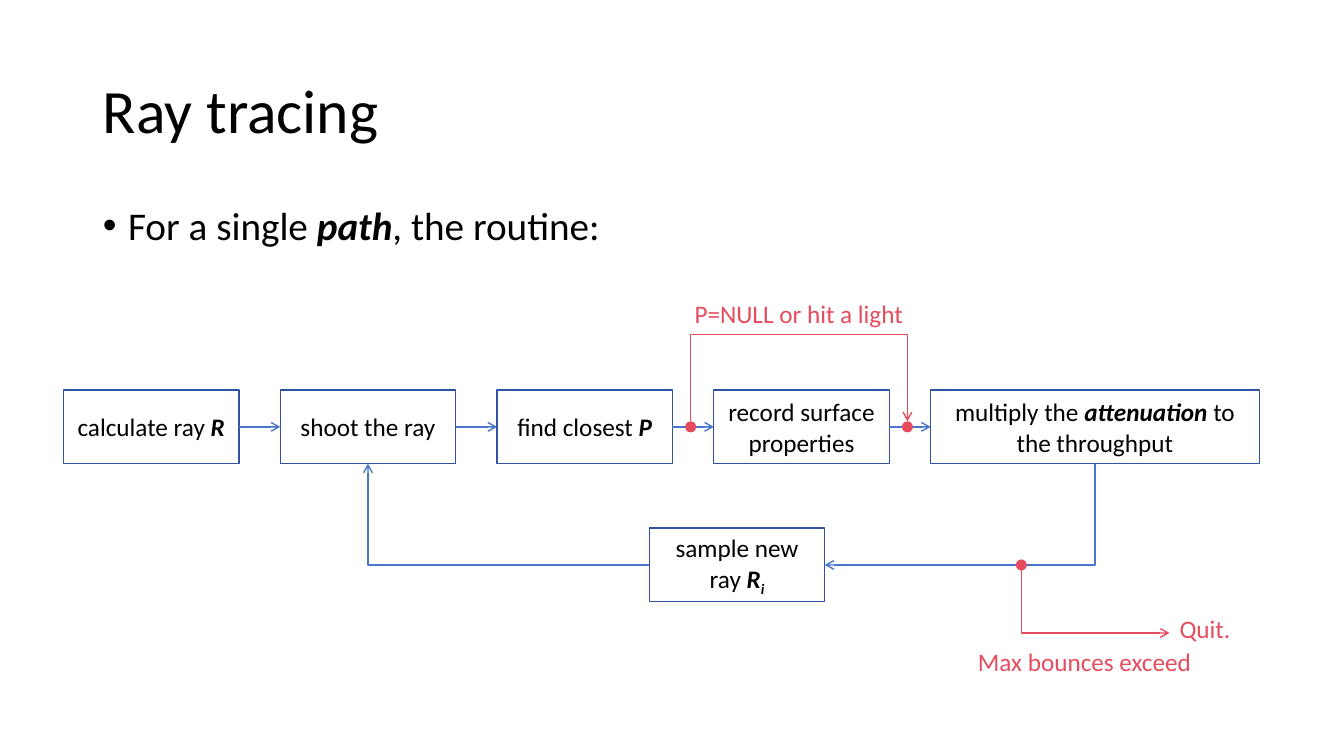
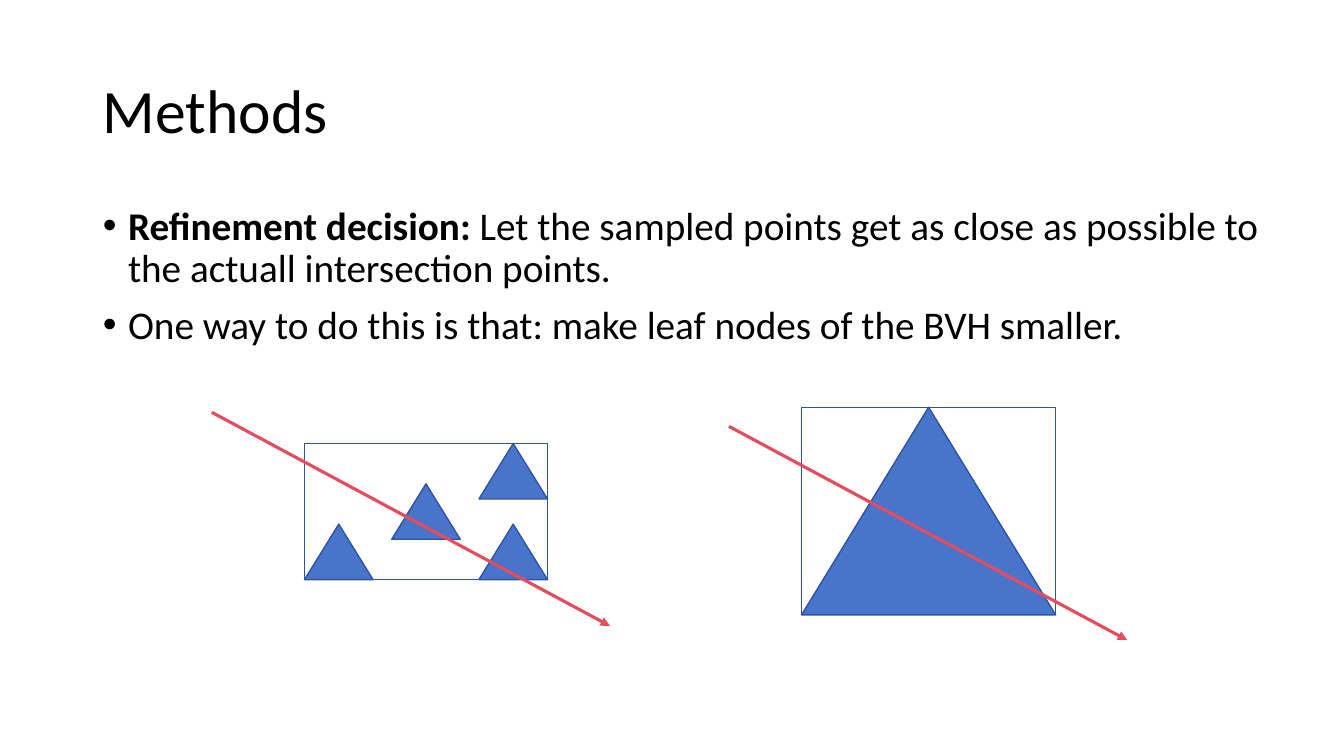
from lxml.etree import SubElement
from pptx import Presentation
from pptx.dml.color import RGBColor
from pptx.enum.shapes import MSO_CONNECTOR, MSO_SHAPE
from pptx.enum.text import MSO_ANCHOR, PP_ALIGN
from pptx.oxml.ns import qn
from pptx.util import Inches, Pt

BLACK, BLUE, NAVY, RED = "000000", "4874CB", "2E54A1", "E54C5E"
FONT = "Calibri"
TITLE_AREA = (0.92, 0.4, 11.5, 1.45)
BODY_AREA = (0.92, 2, 11.5, 4.76)
WIDE_BODY_AREA = (0.92, 2, 11.86, 4.76)
TOP, LEFT, BOTTOM, RIGHT = range(4)

ROUTINE = [[("For a single ", ""), ("path", "bi"), (", the routine:", "")]]
STEPS = [
    [("calculate ray ", ""), ("R", "bi")],
    [("shoot the ray", "")],
    [("find closest ", ""), ("P", "bi")],
    [("record surface properties", "")],
    [("multiply the ", ""), ("attenuation ", "bi"), ("to the throughput", "")],
]
RESAMPLE = [("sample new ray ", ""), ("R", "bi"), ("i", "bis")]
NOTES = [
    ("P=NULL or hit a light", (6.79, 2.91, 2.53, 0.4)),
    ("Max bounces exceed", (9.6, 6.36, 2.53, 0.4)),
    ("Quit.", (11.6, 6.04, 0.89, 0.4)),
]
STEP_LEFT, STEP_PITCH, STEP_TOP = 0.63, 2.15, 3.87
STEP_WIDTH, LAST_WIDTH, STEP_HEIGHT = 1.74, 3.26, 0.73
RESAMPLE_LEFT, RESAMPLE_TOP = 6.44, 5.24
SKIP_START, SKIP_TOP, DOT_SIZE = 6.85, 3.32, 0.11
QUIT_X, QUIT_Y, QUIT_END = 10.13, 6.28, 11.6

METHODS = [
    [("Refinement decision:", "b"),
     (" Let the sampled points get as close as possible to the actuall intersection points.", "")],
    [("One way to do this is that: make leaf nodes of the BVH smaller.", "")],
]
LEAF_BOX = (3.02, 4.4, 2.41, 1.35)
LEAF_SIZE = (0.68, 0.55)
LEAF_CELLS = [(0, 2), (2, 0), (2, 2), (1, 1)]
LARGE_BOX = (7.95, 4.04, 2.52, 2.06)
RAY_STARTS = [(2.1, 4.09), (7.23, 4.23)]
RAY_SPAN = (3.95, 2.12)


def color(value):
    return RGBColor.from_string(value)


def place(shape, area):
    shape.left, shape.top, shape.width, shape.height = map(Inches, area)


def write(frame, paragraphs, size=18, ink=BLACK, align=None, bullet=False, spacing=None, before=0):
    for index, spans in enumerate(paragraphs):
        para = frame.paragraphs[0] if index == 0 else frame.add_paragraph()
        if bullet:
            settings = para._p.get_or_add_pPr()
            settings.set("marL", str(Inches(0.25)))
            settings.set("indent", str(-Inches(0.25)))
            SubElement(settings, qn("a:buChar")).set("char", "•")
        para.alignment = align
        para.line_spacing = spacing
        para.space_before = Pt(before if index else 0)
        for text, style in spans:
            span = para.add_run()
            span.text = text
            font = span.font
            font.name, font.size = FONT, Pt(size)
            font.color.rgb = color(ink)
            font.bold, font.italic = "b" in style, "i" in style
            if "s" in style:
                font._element.set("baseline", "-25000")


def add_page(deck, title, body, area):
    page = deck.slides.add_slide(deck.slide_layouts[1])
    heading, content = page.placeholders
    place(heading, TITLE_AREA)
    heading.text_frame.vertical_anchor = MSO_ANCHOR.MIDDLE
    write(heading.text_frame, [[(title, "")]], size=44, align=PP_ALIGN.LEFT, spacing=0.9)
    place(content, area)
    write(content.text_frame, body, size=28, bullet=True, spacing=0.9, before=10)
    return page


def add_shape(page, kind, area, fill=None, line=NAVY):
    shape = page.shapes.add_shape(kind, *map(Inches, area))
    shape.shadow.inherit = False
    if fill:
        shape.fill.solid()
        shape.fill.fore_color.rgb = color(fill)
    else:
        shape.fill.background()
    if line:
        shape.line.color.rgb = color(line)
        shape.line.width = Pt(1)
    else:
        shape.line.fill.background()
    return shape


def add_step(page, spans, area):
    box = add_shape(page, MSO_SHAPE.RECTANGLE, area)
    box.text_frame.word_wrap = True
    box.text_frame.vertical_anchor = MSO_ANCHOR.MIDDLE
    write(box.text_frame, [spans], align=PP_ALIGN.CENTER)
    return box


def style_line(shape, ink, width, end, head):
    shape.line.color.rgb = color(ink)
    shape.line.width = Pt(width)
    SubElement(shape.line._get_or_add_ln(), qn("a:" + end)).set("type", head)


def add_arrow(page, start, stop, ink=BLUE, width=1, bent=False, end="tailEnd", head="arrow"):
    kind = MSO_CONNECTOR.ELBOW if bent else MSO_CONNECTOR.STRAIGHT
    arrow = page.shapes.add_connector(kind, *map(Inches, start + stop))
    if bent:
        arrow._element.spPr.find(qn("a:prstGeom")).set("prst", "bentConnector2")
    style_line(arrow, ink, width, end, head)
    SubElement(arrow._element.spPr, qn("a:effectLst"))
    return arrow


def join(page, first, first_side, second, second_side, **look):
    arrow = add_arrow(page, *(side_point(box, side) for box, side in
                              ((first, first_side), (second, second_side))), **look)
    arrow.begin_connect(first, first_side)
    arrow.end_connect(second, second_side)


def side_point(box, side):
    across, down = [(0.5, 0), (0, 0.5), (0.5, 1), (1, 0.5)][side]
    return ((box.left + across * box.width) / Inches(1),
            (box.top + down * box.height) / Inches(1))


def build_routine(deck):
    page = add_page(deck, "Ray tracing", ROUTINE, BODY_AREA)
    boxes = []
    for index, spans in enumerate(STEPS):
        width = LAST_WIDTH if index == len(STEPS) - 1 else STEP_WIDTH
        left = STEP_LEFT + index * STEP_PITCH
        boxes.append(add_step(page, spans, (left, STEP_TOP, width, STEP_HEIGHT)))
    resample = add_step(page, RESAMPLE, (RESAMPLE_LEFT, RESAMPLE_TOP, STEP_WIDTH, STEP_HEIGHT))
    for first, second in zip(boxes, boxes[1:]):
        join(page, first, RIGHT, second, LEFT)
    join(page, resample, LEFT, boxes[1], BOTTOM, bent=True)
    join(page, resample, RIGHT, boxes[-1], BOTTOM, bent=True, end="headEnd")

    row = STEP_TOP + STEP_HEIGHT / 2
    loop_row = RESAMPLE_TOP + STEP_HEIGHT / 2
    skip_end = SKIP_START + STEP_PITCH
    for x, y in ((SKIP_START, row), (skip_end, row), (QUIT_X, loop_row)):
        add_shape(page, MSO_SHAPE.OVAL,
                  (x - DOT_SIZE / 2, y - DOT_SIZE / 2, DOT_SIZE, DOT_SIZE), fill=RED, line=None)
    dot_top = row - DOT_SIZE / 2
    outline = page.shapes.build_freeform(Inches(SKIP_START), Inches(dot_top))
    corners = [(SKIP_START, SKIP_TOP), (skip_end, SKIP_TOP), (skip_end, dot_top)]
    outline.add_line_segments([(Inches(x), Inches(y)) for x, y in corners], close=False)
    skip = outline.convert_to_shape()
    skip.shadow.inherit = False
    skip.fill.background()
    style_line(skip, RED, 1, "tailEnd", "arrow")
    add_arrow(page, (QUIT_END, QUIT_Y), (QUIT_X, loop_row + DOT_SIZE / 2),
              ink=RED, bent=True, end="headEnd")
    for text, area in NOTES:
        note = page.shapes.add_textbox(*map(Inches, area))
        note.text_frame.word_wrap = True
        write(note.text_frame, [[(text, "")]], ink=RED)


def build_methods(deck):
    page = add_page(deck, "Methods", METHODS, WIDE_BODY_AREA)
    left, top, width, height = LEAF_BOX
    leaf_width, leaf_height = LEAF_SIZE
    add_shape(page, MSO_SHAPE.RECTANGLE, LEAF_BOX)
    for column, line in LEAF_CELLS:
        x = left + column * (width - leaf_width) / 2
        y = top + line * (height - leaf_height) / 2
        add_shape(page, MSO_SHAPE.ISOSCELES_TRIANGLE, (x, y, leaf_width, leaf_height), fill=BLUE)
    add_shape(page, MSO_SHAPE.RECTANGLE, LARGE_BOX)
    add_shape(page, MSO_SHAPE.ISOSCELES_TRIANGLE, LARGE_BOX, fill=BLUE)
    for x, y in RAY_STARTS:
        add_arrow(page, (x, y), (x + RAY_SPAN[0], y + RAY_SPAN[1]),
                  ink=RED, width=2.25, head="triangle")


def main():
    deck = Presentation()
    deck.slide_width, deck.slide_height = Inches(13.33), Inches(7.5)
    build_routine(deck)
    build_methods(deck)
    deck.save("out.pptx")


if __name__ == "__main__":
    main()
